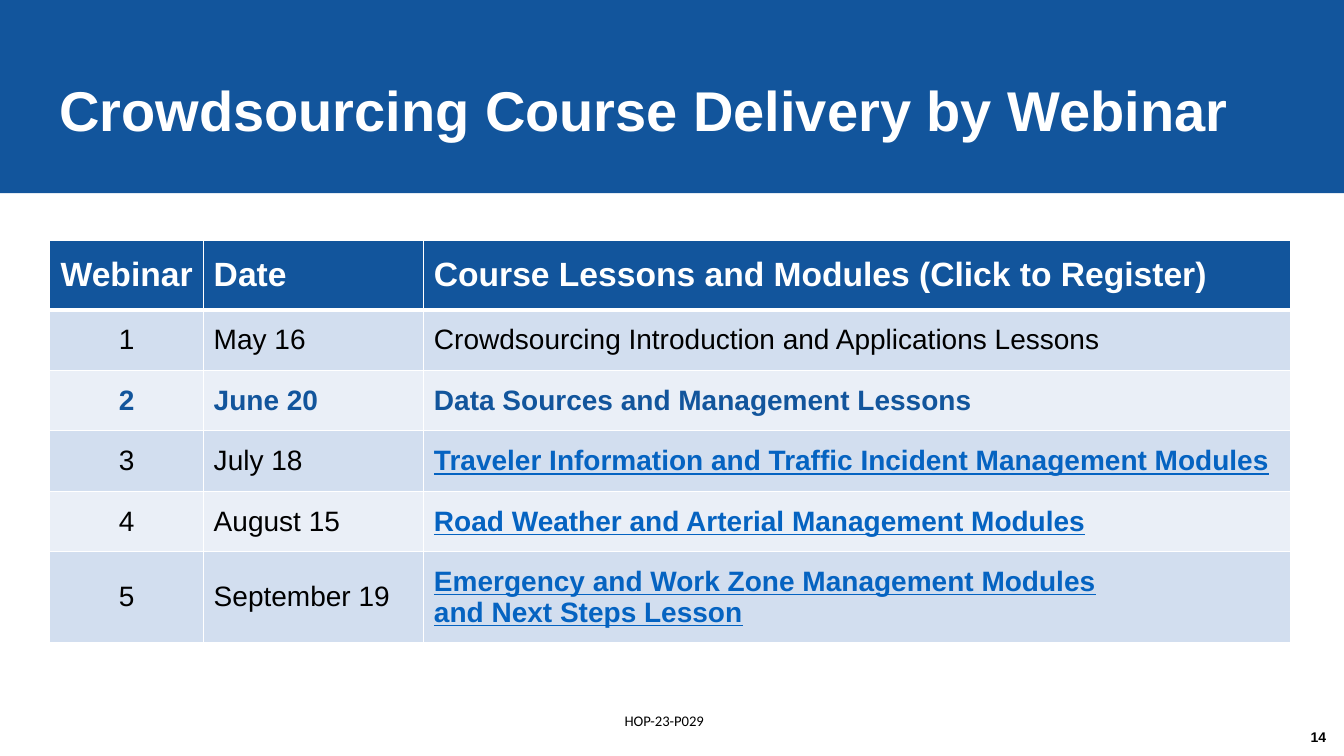
from lxml.etree import SubElement
from pptx import Presentation
from pptx.dml.color import RGBColor
from pptx.enum.shapes import MSO_SHAPE
from pptx.enum.text import MSO_ANCHOR, PP_ALIGN
from pptx.oxml.ns import qn
from pptx.util import Pt

BLUE = RGBColor(0x12, 0x55, 0x9C)
LINK = RGBColor(0x05, 0x63, 0xC1)
DARK_BAND = RGBColor(0xD2, 0xDE, 0xEF)
LIGHT_BAND = RGBColor(0xEA, 0xEF, 0xF7)
WHITE = RGBColor(0xFF, 0xFF, 0xFF)
BLACK = RGBColor(0, 0, 0)


def add_text(paragraph, text, size, color, bold=False, underline=False, font="Arial"):
    run = paragraph.add_run()
    run.text = text
    run.font.name = font
    run.font.size = Pt(size)
    run.font.bold = bold
    run.font.underline = underline
    run.font.color.rgb = color


def add_border(cell, side, width):
    line = SubElement(cell._tc.get_or_add_tcPr(), qn(f"a:ln{side}"), w=str(Pt(width)))
    fill = SubElement(line, qn("a:solidFill"))
    SubElement(fill, qn("a:srgbClr"), val=str(WHITE))


presentation = Presentation()
presentation.slide_width = Pt(960)
presentation.slide_height = Pt(540)
slide = presentation.slides.add_slide(presentation.slide_layouts[6])

banner = slide.shapes.add_shape(MSO_SHAPE.RECTANGLE, Pt(0), Pt(0), Pt(960), Pt(138))
banner.shadow.inherit = False
banner.fill.solid()
banner.fill.fore_color.rgb = BLUE
banner.line.fill.background()

report_number = slide.shapes.add_textbox(Pt(439), Pt(504.7), Pt(73), Pt(20))
report_number.text_frame.word_wrap = False
add_text(report_number.text_frame.paragraphs[0], "HOP-23-P029", 10.5, BLACK, font="Calibri")

title = slide.shapes.add_textbox(Pt(35.5), Pt(28.8), Pt(886), Pt(104.4))
title.text_frame.word_wrap = True
title.text_frame.vertical_anchor = MSO_ANCHOR.MIDDLE
title_paragraph = title.text_frame.paragraphs[0]
title_paragraph.line_spacing = 0.9
add_text(title_paragraph, "Crowdsourcing Course Delivery by Webinar", 40, WHITE, bold=True)

page_number = slide.shapes.add_textbox(Pt(922), Pt(509.8), Pt(32.4), Pt(33))
page_number.text_frame.word_wrap = True
page_number.text_frame.vertical_anchor = MSO_ANCHOR.MIDDLE
page_paragraph = page_number.text_frame.paragraphs[0]
page_paragraph.alignment = PP_ALIGN.RIGHT
add_text(page_paragraph, "14", 10, BLACK, bold=True)

HEADER = (24, WHITE, True)
PLAIN = (20, BLACK)
CURRENT = (20, BLUE, True)
REGISTER = (20, LINK, True, True)

schedule = [
    (("Webinar", "Date", "Course Lessons and Modules (Click to Register)"), HEADER, HEADER),
    (("1", "May 16", "Crowdsourcing Introduction and Applications Lessons"), PLAIN, PLAIN),
    (("2", "June 20", "Data Sources and Management Lessons"), CURRENT, CURRENT),
    (("3", "July 18", "Traveler Information and Traffic Incident Management Modules"), PLAIN, REGISTER),
    (("4", "August 15", "Road Weather and Arterial Management Modules"), PLAIN, REGISTER),
    (("5", "September 19", "Emergency and Work Zone Management Modules\nand Next Steps Lesson"), PLAIN, REGISTER),
]
column_widths = [110, 157.3, 619]
row_heights = [50, 43.2, 43.2, 43.2, 43.2, 64.8]

table = slide.shapes.add_table(
    len(schedule), len(column_widths), Pt(35.5), Pt(171.4), Pt(sum(column_widths)), Pt(sum(row_heights))
).table
for column, width in zip(table.columns, column_widths):
    column.width = Pt(width)
for row, height in zip(table.rows, row_heights):
    row.height = Pt(height)

for row_index, (texts, style, lesson_style) in enumerate(schedule):
    if row_index == 0:
        row_fill = BLUE
    else:
        row_fill = DARK_BAND if row_index % 2 else LIGHT_BAND
    for column_index, text in enumerate(texts):
        cell = table.cell(row_index, column_index)
        cell.vertical_anchor = MSO_ANCHOR.MIDDLE
        for side in "LRTB":
            below_header = (row_index, side) in ((0, "B"), (1, "T"))
            add_border(cell, side, 3 if below_header else 1)
        cell.fill.solid()
        cell.fill.fore_color.rgb = row_fill
        for line_index, line in enumerate(text.split("\n")):
            paragraph = cell.text_frame.add_paragraph() if line_index else cell.text_frame.paragraphs[0]
            paragraph.alignment = PP_ALIGN.LEFT if column_index else PP_ALIGN.CENTER
            add_text(paragraph, line, *(lesson_style if column_index == 2 else style))

presentation.save("out.pptx")
